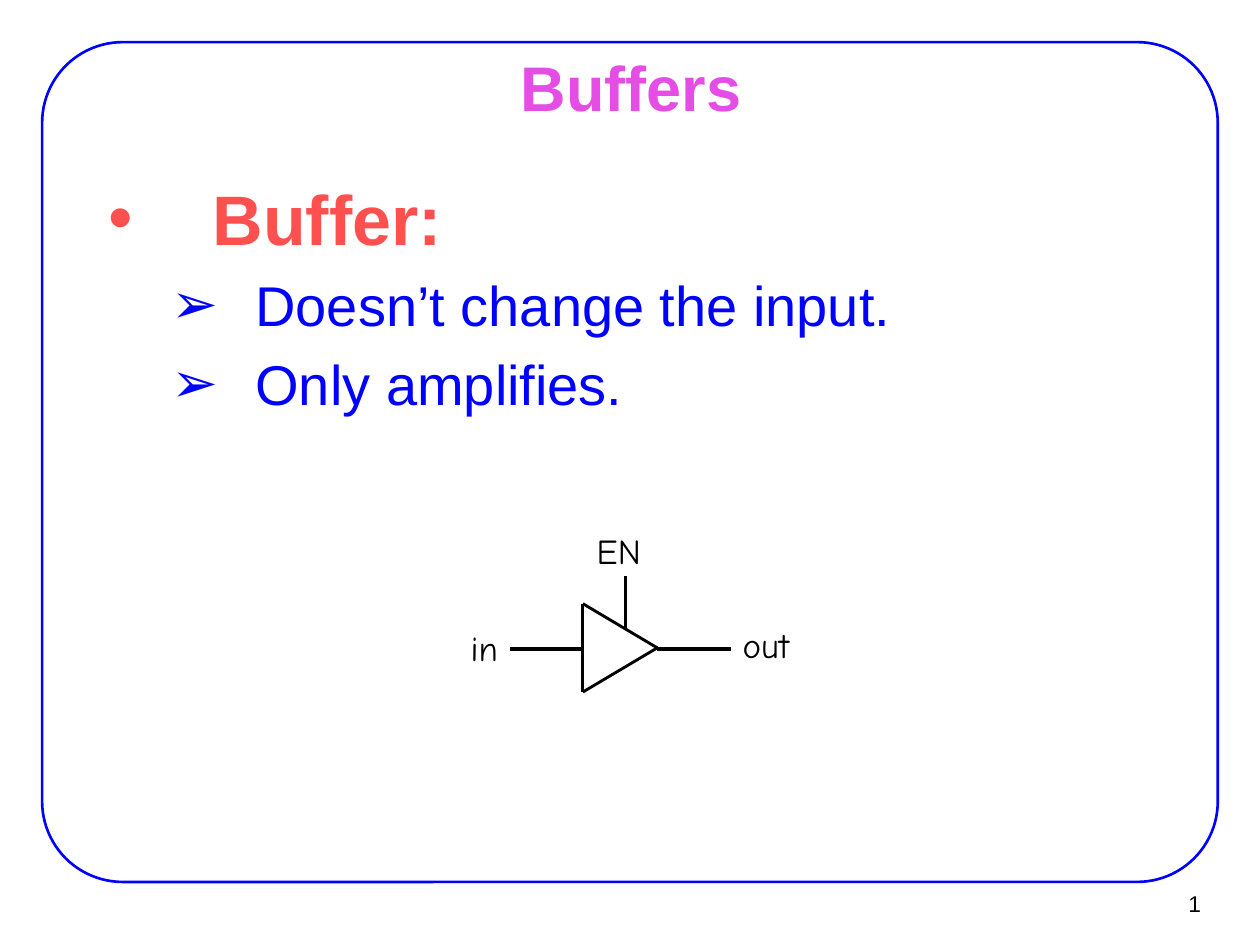
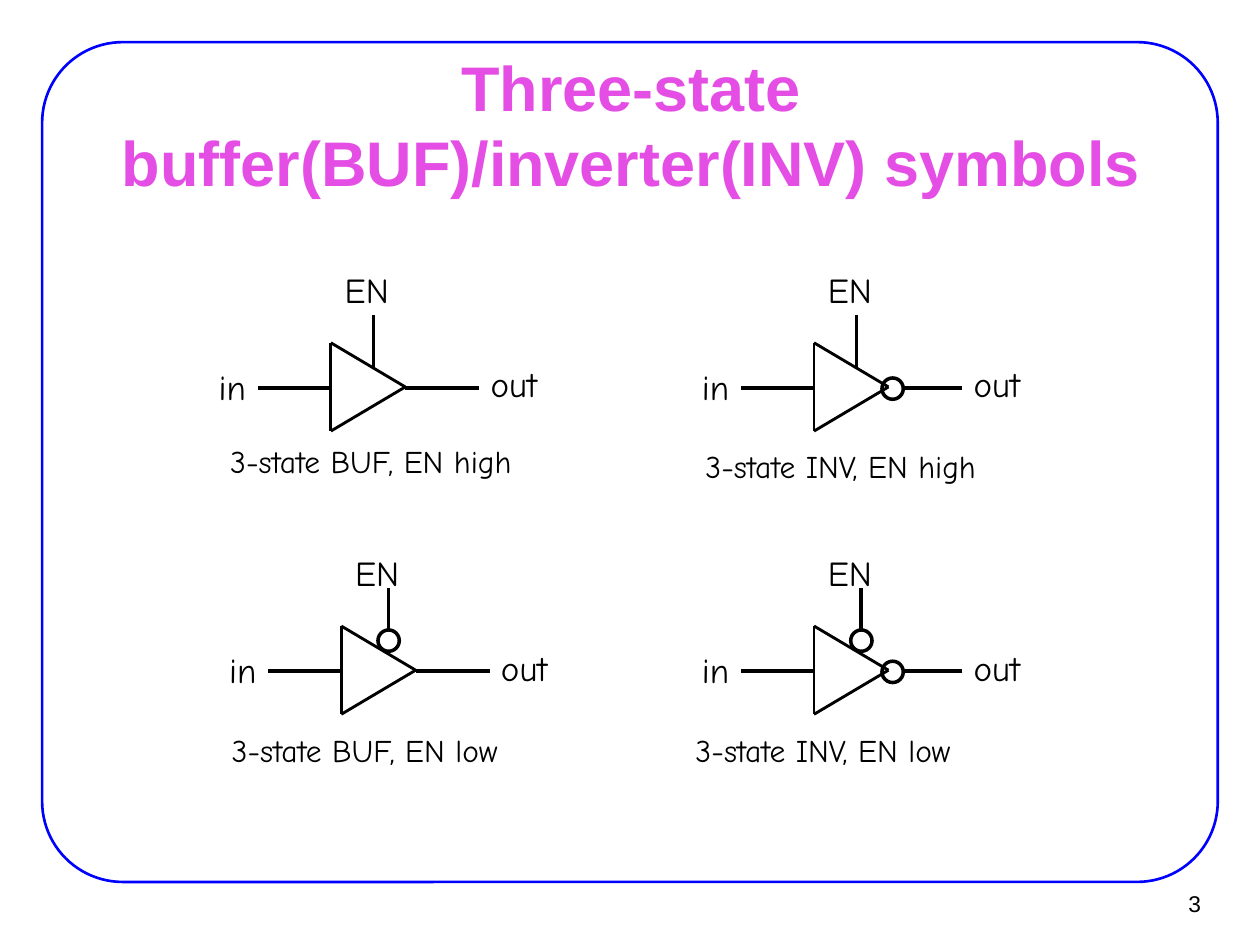
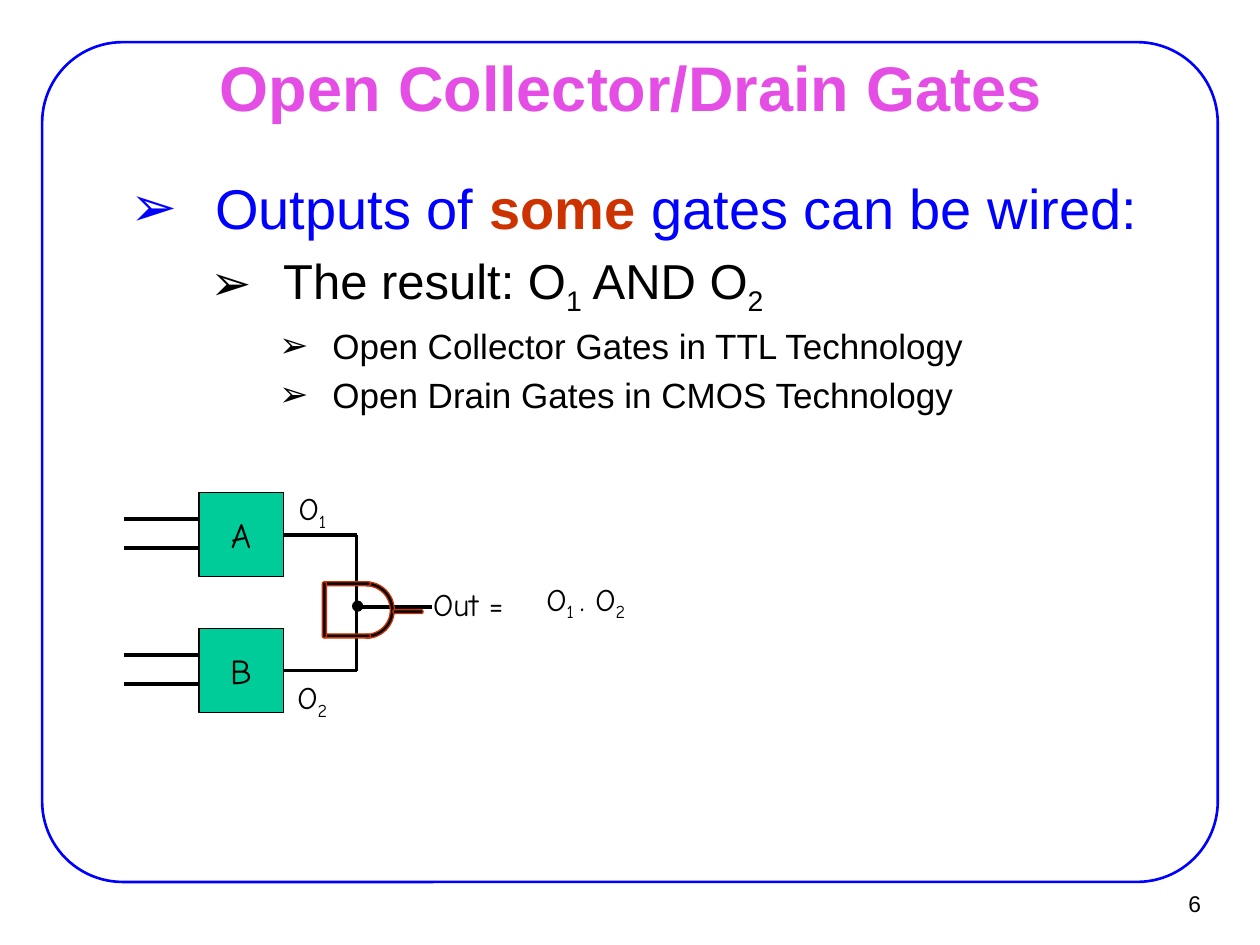
from math import cos, pi, sin

from lxml import etree
from pptx import Presentation
from pptx.dml.color import RGBColor
from pptx.enum.shapes import MSO_CONNECTOR, MSO_SHAPE, MSO_SHAPE_TYPE
from pptx.enum.text import MSO_ANCHOR, MSO_AUTO_SIZE, PP_ALIGN
from pptx.oxml.ns import qn
from pptx.util import Cm, Pt

STRAIGHT = MSO_CONNECTOR.STRAIGHT
RECTANGLE, ROUNDED, OVAL = MSO_SHAPE.RECTANGLE, MSO_SHAPE.ROUNDED_RECTANGLE, MSO_SHAPE.OVAL
CONNECTOR_TYPE = MSO_SHAPE_TYPE.LINE
MIDDLE = MSO_ANCHOR.MIDDLE
FIXED, GROW = MSO_AUTO_SIZE.NONE, MSO_AUTO_SIZE.SHAPE_TO_FIT_TEXT
LEFT, CENTER, RIGHT = PP_ALIGN.LEFT, PP_ALIGN.CENTER, PP_ALIGN.RIGHT

COLORS = {
    "black": "000000",
    "blue": "0000FF",
    "pink": "E44EE4",
    "coral": "FF5050",
    "rust": "CC3300",
    "green": "00CC99",
}

# Text formats
TITLE_FONT = {"name": "Arial", "size": Pt(36), "bold": True, "color": "pink"}
NUMBER_FONT = {"name": "Arial", "size": Pt(13), "color": "black"}
LABEL_FONT = {"name": "Comic Neue", "size": Pt(20), "color": "black"}
CAPTION_FONT = {**LABEL_FONT, "size": Pt(18)}
SUBSCRIPT = {"baseline": "-25000"}

WIDE_MARGINS = {
    "margin_left": Cm(0.28), "margin_right": Cm(0.28),
    "margin_top": Cm(0.16), "margin_bottom": Cm(0.16),
}
BODY_FRAME = {"word_wrap": True, "auto_size": FIXED, **WIDE_MARGINS}
TITLE_FRAME = {**BODY_FRAME, "vertical_anchor": MIDDLE}
BOX_FRAME = {"word_wrap": False, "auto_size": FIXED, "vertical_anchor": MIDDLE}
LABEL_FRAME = {"word_wrap": False, "auto_size": GROW}

# Outline levels: font, left margin, hanging indent, bullet
LEVELS = [
    ({"name": "Arial", "size": Pt(40), "bold": True, "color": "coral"}, 2.11, -2.11, "•"),
    ({"name": "Arial", "size": Pt(32), "color": "blue"}, 2.97, -1.7, "➢"),
    ({"name": "Arial", "size": Pt(28), "color": "black"}, 4.34, -1.47, "➢"),
    ({"name": "Arial", "size": Pt(20), "color": "black"}, 5.33, -1.07, "➢"),
]


def write_text(shape, frame_format, paragraphs):
    """Fill a shape with paragraphs given as (runs, font, paragraph format)."""
    frame = shape.text_frame
    for name, value in frame_format.items():
        setattr(frame, name, value)
    for index, (runs, font, paragraph_format) in enumerate(paragraphs):
        paragraph = frame.add_paragraph() if index else frame.paragraphs[0]
        for name, value in paragraph_format.items():
            setattr(paragraph, name, value)
        for text, changes in runs:
            run = paragraph.add_run()
            run.text = text
            for name, value in {**font, **changes}.items():
                if name == "color":
                    run.font.color.rgb = RGBColor.from_string(COLORS[value])
                elif name == "baseline":
                    run._r.get_or_add_rPr().set("baseline", value)
                else:
                    setattr(run.font, name, value)


def paint(shape, line, width, fill=None):
    """Set outline and fill of a shape or connector, without shadow."""
    shape.line.color.rgb = RGBColor.from_string(COLORS[line])
    shape.line.width = Pt(width)
    if shape.shape_type == CONNECTOR_TYPE:
        etree.SubElement(shape._element.spPr, qn("a:effectLst"))
        return
    shape.shadow.inherit = False
    if fill:
        shape.fill.solid()
        shape.fill.fore_color.rgb = RGBColor.from_string(COLORS[fill])
    else:
        shape.fill.background()


presentation = Presentation()
presentation.slide_width = Cm(25.4)
presentation.slide_height = Cm(19.05)
blank_layout = presentation.slide_layouts[6]

# Frame, number and title of every slide
slides = []
for number, title, title_top in [
    ("1", "Buffers", 1.12),
    ("3", "Three-state buffer(BUF)/inverter(INV) symbols", 1.88),
    ("6", "Open Collector/Drain Gates", 1.12),
]:
    slide = presentation.slides.add_slide(blank_layout)
    slides.append(slide)
    border = slide.shapes.add_shape(ROUNDED, Cm(0.85), Cm(0.85), Cm(23.7), Cm(16.93))
    border.adjustments[0] = 0.096
    paint(border, "blue", 1.5)
    number_box = slide.shapes.add_textbox(Cm(22.91), Cm(17.75), Cm(1.55), Cm(0.94))
    write_text(number_box, BOX_FRAME, [([(number, {})], NUMBER_FONT, {"alignment": RIGHT})])
    title_box = slide.shapes.add_textbox(Cm(1.93), Cm(title_top), Cm(21.59), Cm(1.24))
    write_text(title_box, TITLE_FRAME, [([(title, {})], TITLE_FONT, {"alignment": CENTER})])
buffer_slide, symbols_slide, collector_slide = slides

# Bulleted text
for slide, box, outline in [
    (buffer_slide, (1.9, 3.38, 21.59, 6.32), [
        (0, [("Buffer:", {})]),
        (1, [("Doesn’t change the input.", {})]),
        (1, [("Only amplifies.", {})]),
    ]),
    (collector_slide, (1.09, 3.33, 23.22, 6.4), [
        (1, [("Outputs of ", {}), ("some", {"color": "rust", "bold": True}),
             (" gates can be wired:", {})]),
        (2, [("The result: O", {}), ("1", SUBSCRIPT), (" AND O", {}), ("2", SUBSCRIPT)]),
        (3, [("Open Collector Gates in TTL Technology", {})]),
        (3, [("Open Drain Gates in CMOS Technology", {})]),
    ]),
]:
    body = slide.shapes.add_textbox(*map(Cm, box))
    write_text(body, BODY_FRAME, [
        (runs, LEVELS[level][0],
         {"level": level, "space_before": Pt(LEVELS[level][0]["size"].pt * 0.2)})
        for level, runs in outline
    ])
    for paragraph in body.text_frame.paragraphs:
        font, margin, indent, bullet = LEVELS[paragraph.level]
        properties = paragraph._p.get_or_add_pPr()
        properties.set("marL", str(Cm(margin)))
        properties.set("indent", str(Cm(indent)))
        etree.SubElement(properties, qn("a:buFont"), typeface="Arial")
        etree.SubElement(properties, qn("a:buChar"), char=bullet)

# Three-state gates: slide, top left corner of the triangle, inverting, active low
for slide, left, top, inverting, active_low in [
    (buffer_slide, 11.75, 12.17, False, False),
    (symbols_slide, 6.67, 6.91, False, False),
    (symbols_slide, 6.88, 12.62, False, True),
    (symbols_slide, 16.41, 6.91, True, False),
    (symbols_slide, 16.41, 12.62, True, True),
]:
    enable_line = (0.95, -0.76, 0.95, 0.08) if active_low else (0.86, -0.56, 0.86, 0.51)
    for x1, y1, x2, y2, width in [
        (0, 1.78, 1.5, 0.89, 1.63),
        (1.5, 0.89, 0, 0, 1.63),
        (0, 0, 0, 1.78, 1.63),
        (0, 0.91, -1.47, 0.91, 2),
        (2.99, 0.91, 1.8 if inverting else 1.5, 0.91, 2),
        (*enable_line, 2),
    ]:
        line = slide.shapes.add_connector(
            STRAIGHT, Cm(left + x1), Cm(top + y1), Cm(left + x2), Cm(top + y2))
        paint(line, "black", width)
    for shown, x, y in [(active_low, 0.74, 0.08), (inverting, 1.37, 0.71)]:
        if shown:
            bubble = slide.shapes.add_shape(
                OVAL, Cm(left + x), Cm(top + y), Cm(0.43), Cm(0.43))
            paint(bubble, "black", 2)
    for text, x, y, width in [
        ("in", -2.51, 0.33, 1.09),
        ("out", 2.97, 0.28, 1.57),
        ("EN", 0.03, -1.63, 1.52),
    ]:
        label = slide.shapes.add_textbox(Cm(left + x), Cm(top + y), Cm(width), Cm(1.09))
        write_text(label, LABEL_FRAME, [([(text, {})], LABEL_FONT, {"alignment": LEFT})])

# Captions under the gates
for text, left, top, width in [
    ("3-state BUF, EN high", 4.39, 8.79, 6.88),
    ("3-state BUF, EN low", 4.42, 14.61, 6.6),
    ("3-state INV, EN low", 13.77, 14.61, 6.6),
    ("3-state INV, EN high", 13.97, 8.89, 6.91),
]:
    caption = symbols_slide.shapes.add_textbox(Cm(left), Cm(top), Cm(width), Cm(1.02))
    write_text(caption, LABEL_FRAME, [([(text, {})], CAPTION_FONT, {"alignment": LEFT})])

# Gates A and B with their inputs and outputs
shapes = collector_slide.shapes
for name, top in [("A", 9.93), ("B", 12.67)]:
    gate = shapes.add_shape(RECTANGLE, Cm(4.01), Cm(top), Cm(1.7), Cm(1.7))
    paint(gate, "black", 0.75, "green")
    write_text(gate, BOX_FRAME, [([(name, {})], LABEL_FONT, {"alignment": CENTER})])
    middle = Cm(top + 0.85)
    output = shapes.add_connector(STRAIGHT, Cm(7.19), middle, Cm(5.71), middle)
    output.end_connect(gate, 3)
    paint(output, "black", 2)
    for offset in (0.53, 1.12):
        height = Cm(top + offset)
        paint(shapes.add_connector(STRAIGHT, Cm(3.99), height, Cm(2.49), height), "black", 2)

# Wired junction
for ends in [(8.71, 12.24, 7.21, 12.24), (7.19, 13.52, 7.19, 10.78)]:
    paint(shapes.add_connector(STRAIGHT, *map(Cm, ends)), "black", 2)

# Signal labels
for runs, left, top, width, alignment in [
    ([("Out =", {})], 8.48, 11.66, 2.36, LEFT),
    ([("O", {}), ("1", SUBSCRIPT)], 5.69, 9.73, 1.22, CENTER),
    ([("O", {}), ("2", SUBSCRIPT)], 5.66, 13.54, 1.27, CENTER),
    ([("O", {}), ("1 ", SUBSCRIPT), (". O", {}), ("2", SUBSCRIPT)], 9.7, 11.56, 4.22, CENTER),
]:
    label = shapes.add_textbox(Cm(left), Cm(top), Cm(width), Cm(1.02))
    write_text(label, LABEL_FRAME, [(runs, CAPTION_FONT, {"alignment": alignment})])
    label.text_frame.word_wrap = left == 9.7

# AND gate: curved stroke, then straight strokes
angles = [pi * step / 24 - pi / 2 for step in range(25)]
arc_points = [
    (Cm(7.38 + radius * cos(angle)), Cm(12.3 + radius * sin(angle)))
    for radius, sweep in [(0.57, angles), (0.49, angles[::-1])]
    for angle in sweep
]
arc_builder = shapes.build_freeform(*arc_points[0])
arc_builder.add_line_segments(arc_points[1:], close=True)
paint(arc_builder.convert_to_shape(), "rust", 0.75, "black")
for box in [
    (6.5, 11.73, 0.97, 0.08),
    (6.5, 12.78, 0.97, 0.08),
    (6.5, 11.73, 0.08, 1.13),
    (7.92, 12.29, 0.61, 0.08),
]:
    stroke = shapes.add_shape(ROUNDED, *map(Cm, box))
    stroke.adjustments[0] = 0.5
    paint(stroke, "rust", 0.75, "black")

# Junction dot
paint(shapes.add_shape(OVAL, Cm(7.11), Cm(12.12), Cm(0.2), Cm(0.2)), "black", 0.75, "black")

presentation.save("out.pptx")
